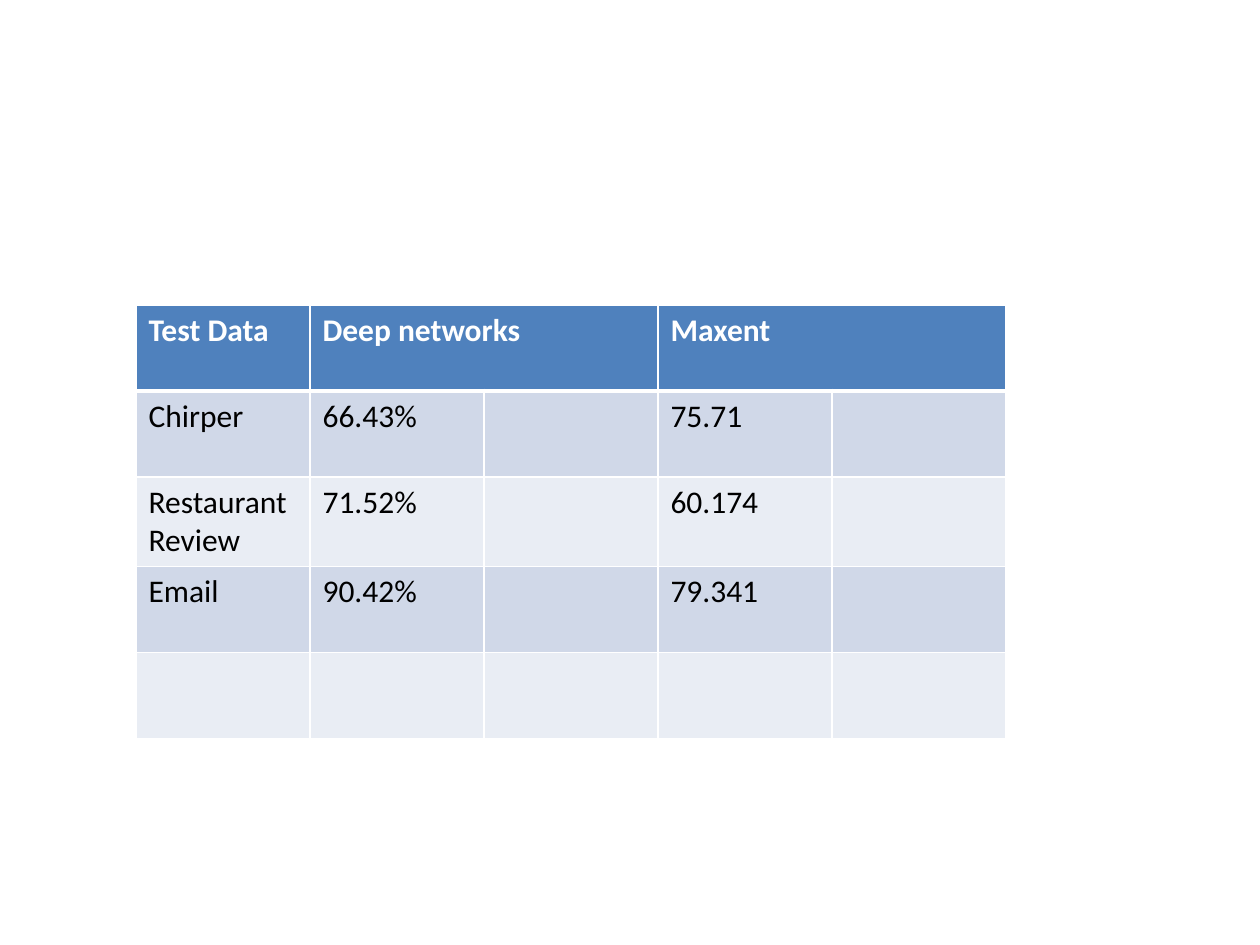
import pptx
import pptx.util
import pptx.dml.color
import pptx.oxml.ns
import lxml.etree


def color(code):
    return pptx.dml.color.RGBColor.from_string(code)


class SlideBuilder:
    """Holds the style and the current slide, and draws tables on it."""

    SCALE = 914400 / 126
    FONT = "Calibri"
    SIZE = 18
    WHITE = "FFFFFF"
    BLACK = "000000"
    HEADER = "4F81BD"
    BANDS = ("D0D8E8", "E9EDF4")

    def __init__(self, deck):
        self.page = deck.slides.add_slide(deck.slide_layouts[6])

    def length(self, pixels):
        return pptx.util.Emu(round(pixels * self.SCALE))

    def border(self, cell, side, points):
        qualify = pptx.oxml.ns.qn
        properties = cell._tc.get_or_add_tcPr()
        line = lxml.etree.SubElement(
            properties, qualify("a:ln" + side), w=str(pptx.util.Pt(points)))
        fill = lxml.etree.SubElement(line, qualify("a:solidFill"))
        lxml.etree.SubElement(fill, qualify("a:srgbClr"), val=self.WHITE)

    def cell(self, cell, text, row):
        header = row == 0
        widths = {"L": 1, "R": 1, "T": 3 if row == 1 else 1, "B": 3 if header else 1}
        for side, points in widths.items():
            self.border(cell, side, points)
        cell.fill.solid()
        cell.fill.fore_color.rgb = color(
            self.HEADER if header else self.BANDS[(row - 1) % 2])
        cell.text = text
        for para in cell.text_frame.paragraphs:
            para.font.name = self.FONT
            para.font.size = pptx.util.Pt(self.SIZE)
            para.font.bold = header
            para.font.color.rgb = color(self.WHITE if header else self.BLACK)

    def table(self, left, top, column_width, row_height, rows, merges):
        columns = len(rows[0])
        frame = self.page.shapes.add_table(
            len(rows), columns, self.length(left), self.length(top),
            self.length(column_width * columns),
            self.length(row_height * len(rows)))
        table = frame.table
        for column in table.columns:
            column.width = self.length(column_width)
        for row, texts in enumerate(rows):
            table.rows[row].height = self.length(row_height)
            for column, text in enumerate(texts):
                self.cell(table.cell(row, column), text, row)
        for row, first, last in merges:
            table.cell(row, first).merge(table.cell(row, last))


deck = pptx.Presentation()
deck.slide_width = pptx.util.Inches(10)
deck.slide_height = pptx.util.Inches(7.5)

results = [
    ["Test Data", "Deep networks", "", "Maxent", ""],
    ["Chirper", "66.43%", "", "75.71", ""],
    ["Restaurant\nReview", "71.52%", "", "60.174", ""],
    ["Email", "90.42%", "", "79.341", ""],
    [""] * 5,
]
builder = SlideBuilder(deck)
builder.table(136, 305, 174, 86, results, merges=[(0, 1, 2), (0, 3, 4)])

deck.save("out.pptx")
